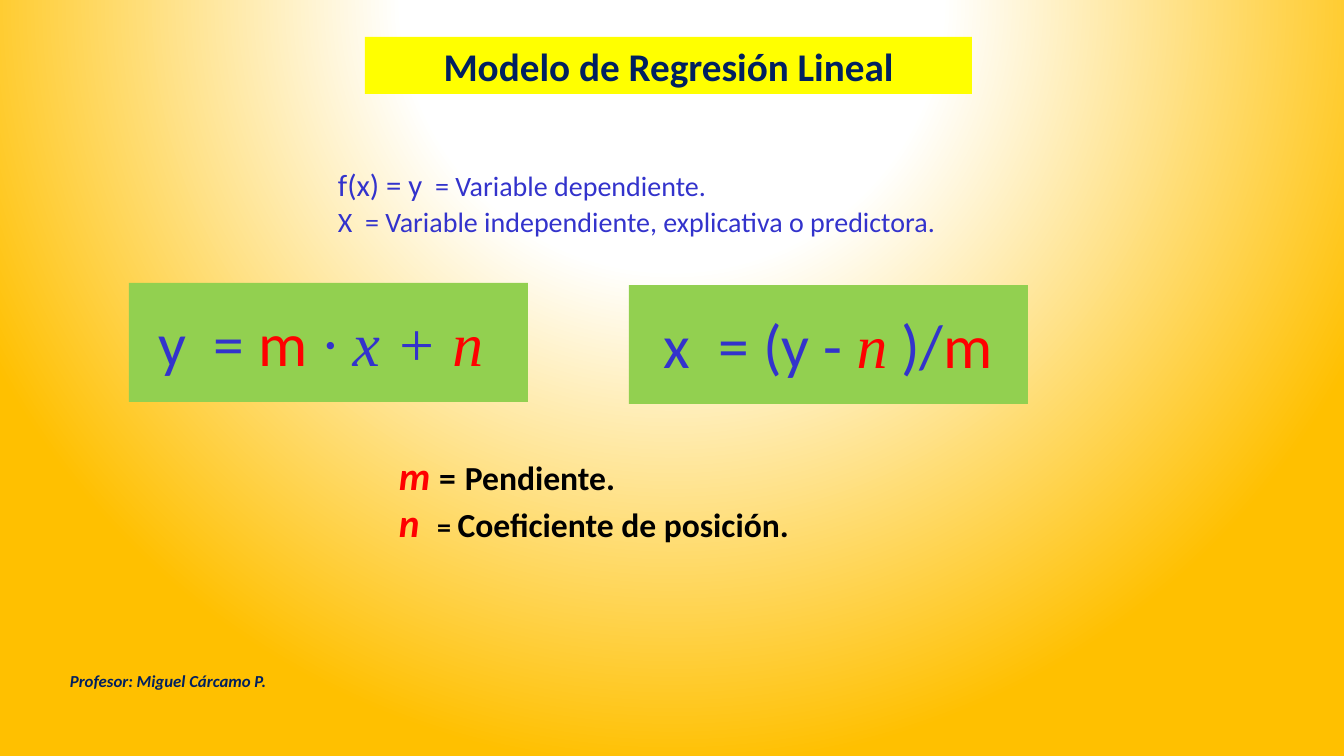
from lxml.etree import SubElement
from pptx import Presentation
from pptx.dml.color import RGBColor
from pptx.enum.shapes import MSO_SHAPE
from pptx.enum.text import MSO_ANCHOR, MSO_AUTO_SIZE, PP_ALIGN
from pptx.oxml.ns import qn
from pptx.util import Emu, Pt

COLORS = {
    "navy": "002060", "blue": "3333CC", "red": "FF0000", "black": "000000",
    "yellow": "FFFF00", "green": "92D050", "white": "FFFFFF", "amber": "FFC000",
}
SANS, SERIF = "Calibri", "Times New Roman"
EMU_PER_PX = 914400 / 100.8

TITLE = [[("Modelo de Regresión Lineal", 28, "navy", SANS, "b")]]
TEACHER = [[("Profesor: Miguel Cárcamo P.", 12, "navy", SANS, "bi")]]
VARIABLES = [
    [("f(x) = y", 22, "blue", SANS, ""),
     ("  = Variable dependiente.", 20, "blue", SANS, "")],
    [("X  = Variable independiente, explicativa o predictora.", 20, "blue", SANS, "")],
]
COEFFICIENTS = [
    [("m ", 28, "red", SANS, "bi"), ("=", 24, "black", SANS, "b"),
     (" ", 28, "black", SANS, "b"), ("Pendiente.", 24, "black", SANS, "b")],
    [("n  ", 28, "red", SANS, "bi"), ("= ", 20, "black", SANS, "b"),
     ("Coeficiente de posición.", 24, "black", SANS, "b")],
]
FORMULAS = [
    ((129, 283), [[("y  = ", 44, "blue", SANS, ""), ("m ", 44, "red", SANS, ""),
                   ("∙ x + ", 44, "blue", SERIF, "i"), ("n ", 44, "red", SERIF, "i")]]),
    ((629, 285), [[("x  = (y - ", 44, "blue", SANS, ""), ("n", 44, "red", SERIF, "i"),
                   (" )/", 44, "blue", SANS, ""), ("m", 44, "red", SANS, "")]]),
]
FORMULA_SIZE = (399, 119)
BACKGROUND_STOPS = [(0, "white"), (35, "white"), (100, "amber")]
BACKGROUND_FOCUS = {"l": 50, "t": -80, "r": 50, "b": 180}


def px(length):
    return Emu(round(length * EMU_PER_PX))


def rgb(name):
    return RGBColor.from_string(COLORS[name])


def write(frame, lines, align, spacing=1.0, gap=0, anchor=MSO_ANCHOR.TOP):
    frame.word_wrap = True
    frame.auto_size = MSO_AUTO_SIZE.NONE
    frame.vertical_anchor = anchor
    for index, pieces in enumerate(lines):
        paragraph = frame.add_paragraph() if index else frame.paragraphs[0]
        paragraph.alignment = align
        paragraph.line_spacing = spacing
        paragraph.space_before = Pt(gap if index else 0)
        for words, size, color, font, style in pieces:
            run = paragraph.add_run()
            run.text = words
            run.font.size = Pt(size)
            run.font.name = font
            run.font.color.rgb = rgb(color)
            run.font.bold = "b" in style
            run.font.italic = "i" in style


def fill_solid(box, color):
    box.fill.solid()
    box.fill.fore_color.rgb = rgb(color)
    box.line.fill.background()


def add_text(slide, bounds, lines, align, **layout):
    box = slide.shapes.add_textbox(*map(px, bounds))
    write(box.text_frame, lines, align, **layout)


def paint_background(slide):
    slide.background.fill.gradient()
    gradient = slide.element.find(".//" + qn("a:gradFill"))
    for child in list(gradient):
        gradient.remove(child)
    stops = SubElement(gradient, qn("a:gsLst"))
    for position, color in BACKGROUND_STOPS:
        stop = SubElement(stops, qn("a:gs"), pos=str(position * 1000))
        SubElement(stop, qn("a:srgbClr"), val=COLORS[color])
    circle = SubElement(gradient, qn("a:path"), {"path": "circle"})
    focus = {side: str(percent * 1000) for side, percent in BACKGROUND_FOCUS.items()}
    SubElement(circle, qn("a:fillToRect"), focus)


def main():
    deck = Presentation()
    deck.slide_width, deck.slide_height = px(1344), px(756)
    slide = deck.slides.add_slide(deck.slide_layouts[5])
    paint_background(slide)

    title = slide.shapes.title
    title.left, title.top, title.width, title.height = map(px, (365, 37, 607, 57))
    fill_solid(title, "yellow")
    write(title.text_frame, TITLE, PP_ALIGN.CENTER, anchor=MSO_ANCHOR.MIDDLE)

    add_text(slide, (60, 661, 302, 40), TEACHER, PP_ALIGN.LEFT, anchor=MSO_ANCHOR.MIDDLE)
    add_text(slide, (328, 165, 725, 87), VARIABLES, PP_ALIGN.JUSTIFY, spacing=0.9, gap=4)
    for corner, formula in FORMULAS:
        panel = slide.shapes.add_shape(
            MSO_SHAPE.RECTANGLE, *map(px, corner + FORMULA_SIZE))
        panel.shadow.inherit = False
        fill_solid(panel, "green")
        panel.text_frame.margin_top = px(13)
        write(panel.text_frame, formula, PP_ALIGN.CENTER, spacing=0.9,
              anchor=MSO_ANCHOR.MIDDLE)
    add_text(slide, (389, 446, 481, 105), COEFFICIENTS, PP_ALIGN.JUSTIFY)

    deck.save("out.pptx")


if __name__ == "__main__":
    main()
